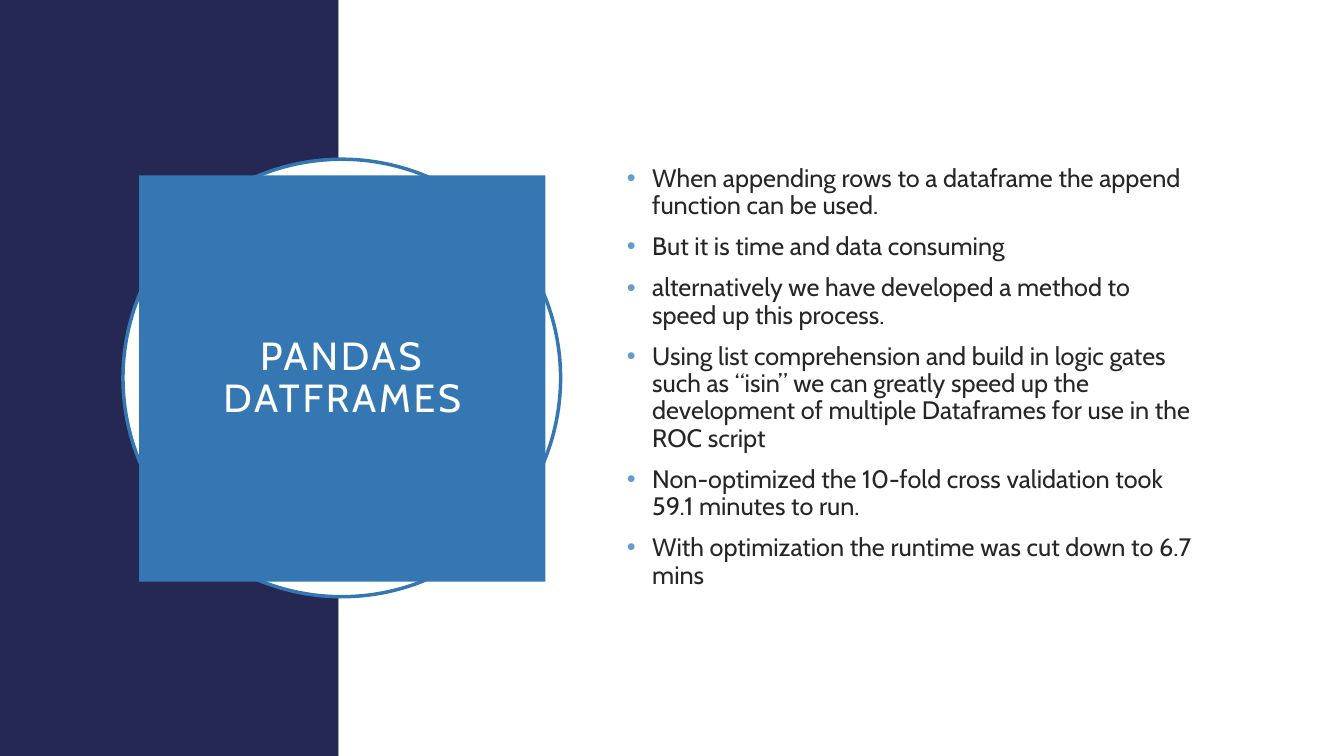
from dataclasses import dataclass
from typing import Optional

import pptx
import pptx.dml.color
import pptx.enum.shapes
import pptx.enum.text
import pptx.oxml
import pptx.oxml.ns
import pptx.util
from pptx.dml.color import RGBColor
from pptx.enum.shapes import MSO_SHAPE
from pptx.util import Inches

NAVY = RGBColor(0x24, 0x28, 0x52)
BLUE = RGBColor(0x34, 0x77, 0xB2)
WHITE = RGBColor(0xFF, 0xFF, 0xFF)
INK = RGBColor(0x26, 0x26, 0x26)
BULLET = RGBColor(0x62, 0x9D, 0xD1)
FONT = "Cabin"
PAGE_WIDTH, PAGE_HEIGHT = 13.33, 7.5
SPLIT = 3.36

POINTS = [
    "When appending rows to a dataframe the append function can be used.",
    "But it is time and data consuming",
    "alternatively we have developed a method to speed up this process.",
    "Using list comprehension and build in logic gates such as \u201cisin\u201d we can "
    "greatly speed up the development of multiple Dataframes for use in the ROC script",
    "Non-optimized the 10-fold cross validation took 59.1 minutes to run.",
    "With optimization the runtime was cut down to 6.7 mins",
]


@dataclass
class Panel:
    kind: MSO_SHAPE
    left: float
    top: float
    width: float
    height: float
    fill: RGBColor
    line: Optional[RGBColor] = None


PANELS = [
    Panel(MSO_SHAPE.RECTANGLE, 0, 0, SPLIT, PAGE_HEIGHT, NAVY),
    Panel(MSO_SHAPE.RECTANGLE, SPLIT, 0, PAGE_WIDTH - SPLIT, PAGE_HEIGHT, WHITE),
    Panel(MSO_SHAPE.OVAL, 1.22, 1.58, 4.34, 4.34, WHITE, BLUE),
]


def draw_panel(page: pptx.slide.Slide, panel: Panel) -> None:
    shape = page.shapes.add_shape(
        panel.kind, Inches(panel.left), Inches(panel.top),
        Inches(panel.width), Inches(panel.height))
    shape.shadow.inherit = False
    shape.fill.solid()
    shape.fill.fore_color.rgb = panel.fill
    if panel.line is None:
        shape.line.fill.background()
    else:
        shape.line.color.rgb = panel.line
        shape.line.width = pptx.util.Pt(2.5)


def format_paragraph(para, size: float, color: RGBColor) -> None:
    para.line_spacing = 0.9
    for span in para.runs:
        span.font.name = FONT
        span.font.size = pptx.util.Pt(size)
        span.font.color.rgb = color


def add_bullet(para) -> None:
    properties = para._p.get_or_add_pPr()
    properties.set("marL", str(Inches(0.25)))
    properties.set("indent", str(Inches(-0.25)))
    namespace = pptx.oxml.ns.nsdecls("a")
    for xml in (
        f'<a:buClr {namespace}><a:srgbClr val="{BULLET}"/></a:buClr>',
        f'<a:buFont {namespace} typeface="Arial"/>',
        f'<a:buChar {namespace} char="\u2022"/>',
    ):
        properties.append(pptx.oxml.parse_xml(xml))


deck = pptx.Presentation()
deck.slide_width = Inches(PAGE_WIDTH)
deck.slide_height = Inches(PAGE_HEIGHT)
page = deck.slides.add_slide(deck.slide_layouts[5])

# Background panels and ring
for panel in PANELS:
    draw_panel(page, panel)

# Title block, brought in front of the ring
title = page.shapes.title
title.element.getparent().append(title.element)
title.left, title.top = Inches(1.38), Inches(1.74)
title.width = title.height = Inches(4.03)
title.fill.solid()
title.fill.fore_color.rgb = BLUE
frame = title.text_frame
frame.text = "PANDAS DATFRAMES"
frame.word_wrap = True
frame.auto_size = pptx.enum.text.MSO_AUTO_SIZE.NONE
frame.vertical_anchor = pptx.enum.text.MSO_ANCHOR.MIDDLE
frame.margin_left = frame.margin_right = Inches(0.2)
frame.margin_top = frame.margin_bottom = Inches(0.2)
heading = frame.paragraphs[0]
heading.alignment = pptx.enum.text.PP_ALIGN.CENTER
format_paragraph(heading, 28, WHITE)
heading.runs[0].font._element.set("spc", "200")

# Bullet list
box = page.shapes.add_textbox(Inches(6.12), Inches(1.53), Inches(5.82), Inches(4.43))
box.text_frame.text = "\n".join(POINTS)
box.text_frame.word_wrap = True
box.text_frame.vertical_anchor = pptx.enum.text.MSO_ANCHOR.MIDDLE
for para in box.text_frame.paragraphs:
    format_paragraph(para, 18, INK)
    para.space_before = pptx.util.Pt(10)
    add_bullet(para)

deck.save("out.pptx")
